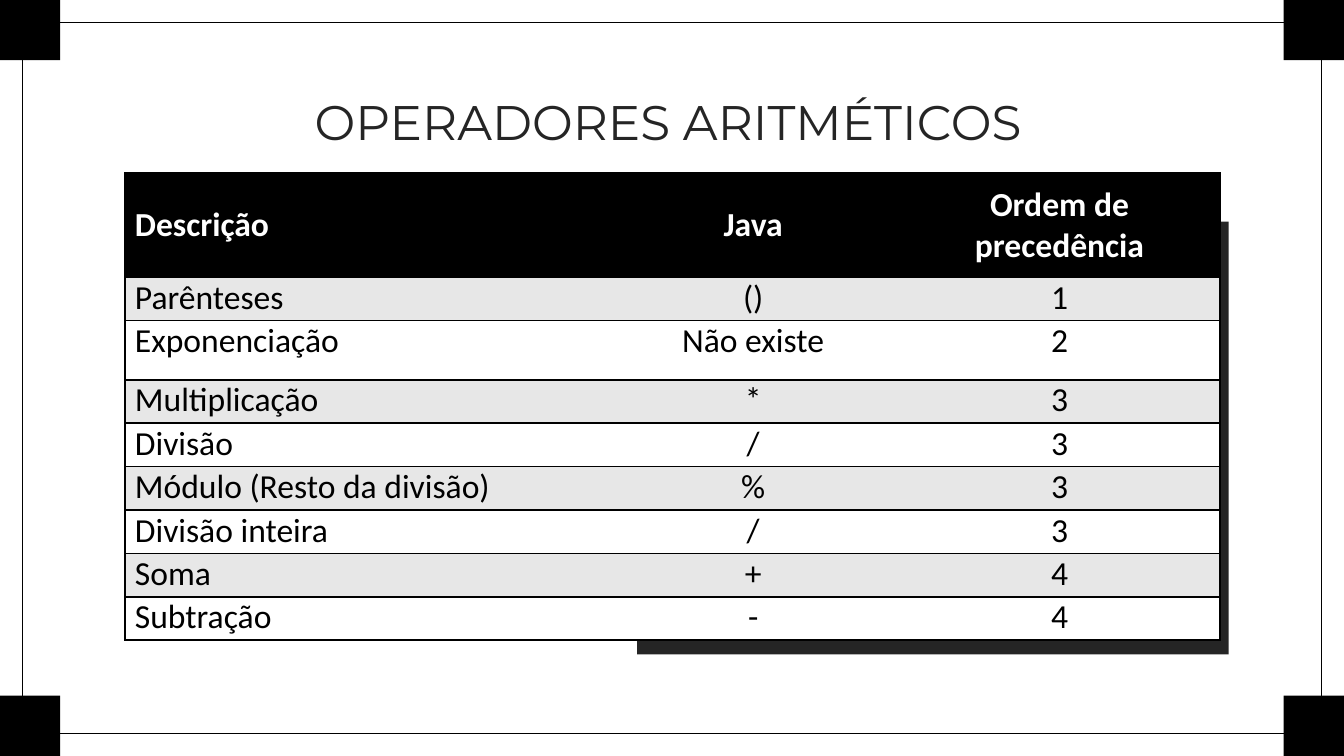
from dataclasses import dataclass
from itertools import product

import lxml.etree
import pptx
import pptx.dml.color
import pptx.enum.shapes
import pptx.enum.text
import pptx.oxml
import pptx.oxml.ns
import pptx.util

Cm = pptx.util.Cm
Pt = pptx.util.Pt
Align = pptx.enum.text.PP_ALIGN
Anchor = pptx.enum.text.MSO_ANCHOR


@dataclass(frozen=True)
class Theme:
    black: str = "000000"
    white: str = "FFFFFF"
    charcoal: str = "252525"
    band: str = "E7E7E7"
    title_font: str = "Montserrat"
    table_font: str = "Calibri"
    title_size: float = 26
    table_size: float = 18
    frame_line: float = 0.25
    table_line: float = 1


@dataclass(frozen=True)
class Box:
    left: float
    top: float
    width: float
    height: float

    def lengths(self):
        return Cm(self.left), Cm(self.top), Cm(self.width), Cm(self.height)


THEME = Theme()
PAGE = Box(0, 0, 25.4, 14.29)
COLUMN_WIDTHS = (9.12, 5.51, 6.07)
HEADER_HEIGHT = 1.97
ROW_HEIGHT = 0.82
TALL_ROW_HEIGHT = 1.12
TALL_ROW = 2
OPERATORS = (
    ("Descrição", "Java", "Ordem de precedência"),
    ("Parênteses", "()", "1"),
    ("Exponenciação", "Não existe", "2"),
    ("Multiplicação", "*", "3"),
    ("Divisão", "/", "3"),
    ("Módulo (Resto da divisão)", "%", "3"),
    ("Divisão inteira", "/", "3"),
    ("Soma", "+", "4"),
    ("Subtração", "-", "4"),
)


def color(value):
    return pptx.dml.color.RGBColor.from_string(value)


def set_font(font, name, size, value, bold=False):
    font.name = name
    font.size = Pt(size)
    font.bold = bold
    font.color.rgb = color(value)


def add_rectangle(page, box, fill=None, line=None):
    shape = page.shapes.add_shape(
        pptx.enum.shapes.MSO_SHAPE.RECTANGLE, *box.lengths())
    shape.shadow.inherit = False
    if fill:
        shape.fill.solid()
        shape.fill.fore_color.rgb = color(fill)
    else:
        shape.fill.background()
    if line:
        shape.line.color.rgb = color(line)
        shape.line.width = Pt(THEME.frame_line)
    else:
        shape.line.fill.background()


def add_frame(page, box):
    corner = 1.14
    inset = 0.43
    add_rectangle(page, Box(box.left + inset, box.top + inset,
                            box.width - 2 * inset, box.height - 2 * inset),
                  line=THEME.black)
    lefts = (box.left, box.left + box.width - corner)
    tops = (box.top, box.top + box.height - corner)
    for left, top in product(lefts, tops):
        add_rectangle(page, Box(left, top, corner, corner), fill=THEME.black)


def add_title(page, box, text):
    title = page.shapes.title
    title.left, title.top, title.width, title.height = box.lengths()
    frame = title.text_frame
    frame.text = text
    frame.word_wrap = True
    frame.auto_size = pptx.enum.text.MSO_AUTO_SIZE.NONE
    frame.vertical_anchor = Anchor.TOP
    frame.margin_left = frame.margin_right = Cm(0.25)
    frame.margin_top = frame.margin_bottom = Cm(0.25)
    para = frame.paragraphs[0]
    para.alignment = Align.CENTER
    set_font(para.font, THEME.title_font, THEME.title_size, THEME.charcoal)


def set_borders(cell, visible):
    properties = cell._tc.get_or_add_tcPr()
    for index, side in enumerate("LRTB"):
        line = pptx.oxml.parse_xml(
            f'<a:ln{side} {pptx.oxml.ns.nsdecls("a")} '
            f'w="{Pt(THEME.table_line)}"/>')
        if side in visible:
            fill = lxml.etree.SubElement(line, pptx.oxml.ns.qn("a:solidFill"))
            lxml.etree.SubElement(
                fill, pptx.oxml.ns.qn("a:srgbClr"), val=THEME.black)
        else:
            lxml.etree.SubElement(line, pptx.oxml.ns.qn("a:noFill"))
        properties.insert(index, line)


def format_cell(cell, text, row, column):
    header = row == 0
    cell.text = text
    cell.margin_left = cell.margin_right = Cm(0.19)
    cell.margin_top = cell.margin_bottom = 0
    cell.vertical_anchor = Anchor.MIDDLE if header else Anchor.TOP
    cell.fill.solid()
    body_fill = THEME.band if row % 2 else THEME.white
    cell.fill.fore_color.rgb = color(THEME.black if header else body_fill)
    para = cell.text_frame.paragraphs[0]
    para.alignment = Align.CENTER if column else Align.LEFT
    set_font(para.font, THEME.table_font, THEME.table_size,
             THEME.white if header else THEME.black, header)
    outer = {0: "L", len(COLUMN_WIDTHS) - 1: "R"}
    set_borders(cell, "TB" + outer.get(column, ""))


def add_operator_table(page, box):
    table = page.shapes.add_table(
        len(OPERATORS), len(COLUMN_WIDTHS), *box.lengths()).table
    for column, width in zip(table.columns, COLUMN_WIDTHS):
        column.width = Cm(width)
    special_heights = {0: HEADER_HEIGHT, TALL_ROW: TALL_ROW_HEIGHT}
    for row, texts in enumerate(OPERATORS):
        table.rows[row].height = Cm(special_heights.get(row, ROW_HEIGHT))
        for column, text in enumerate(texts):
            format_cell(table.cell(row, column), text, row, column)


def build_operator_page(deck, box):
    page = deck.slides.add_slide(deck.slide_layouts.get_by_name("Title Only"))
    page.background.fill.solid()
    page.background.fill.fore_color.rgb = color(THEME.white)
    add_rectangle(page, Box(12.04, 4.19, 11.18, 8.18), fill=THEME.charcoal)
    add_frame(page, box)
    add_title(page, Box(1.98, 1.48, 21.31, 1.47), "OPERADORES ARITMÉTICOS")
    add_operator_table(page, Box(2.36, 3.27, sum(COLUMN_WIDTHS), 8.8))


def main():
    deck = pptx.Presentation()
    deck.slide_width = Cm(PAGE.width)
    deck.slide_height = Cm(PAGE.height)
    build_operator_page(deck, PAGE)
    deck.save("out.pptx")


if __name__ == "__main__":
    main()
